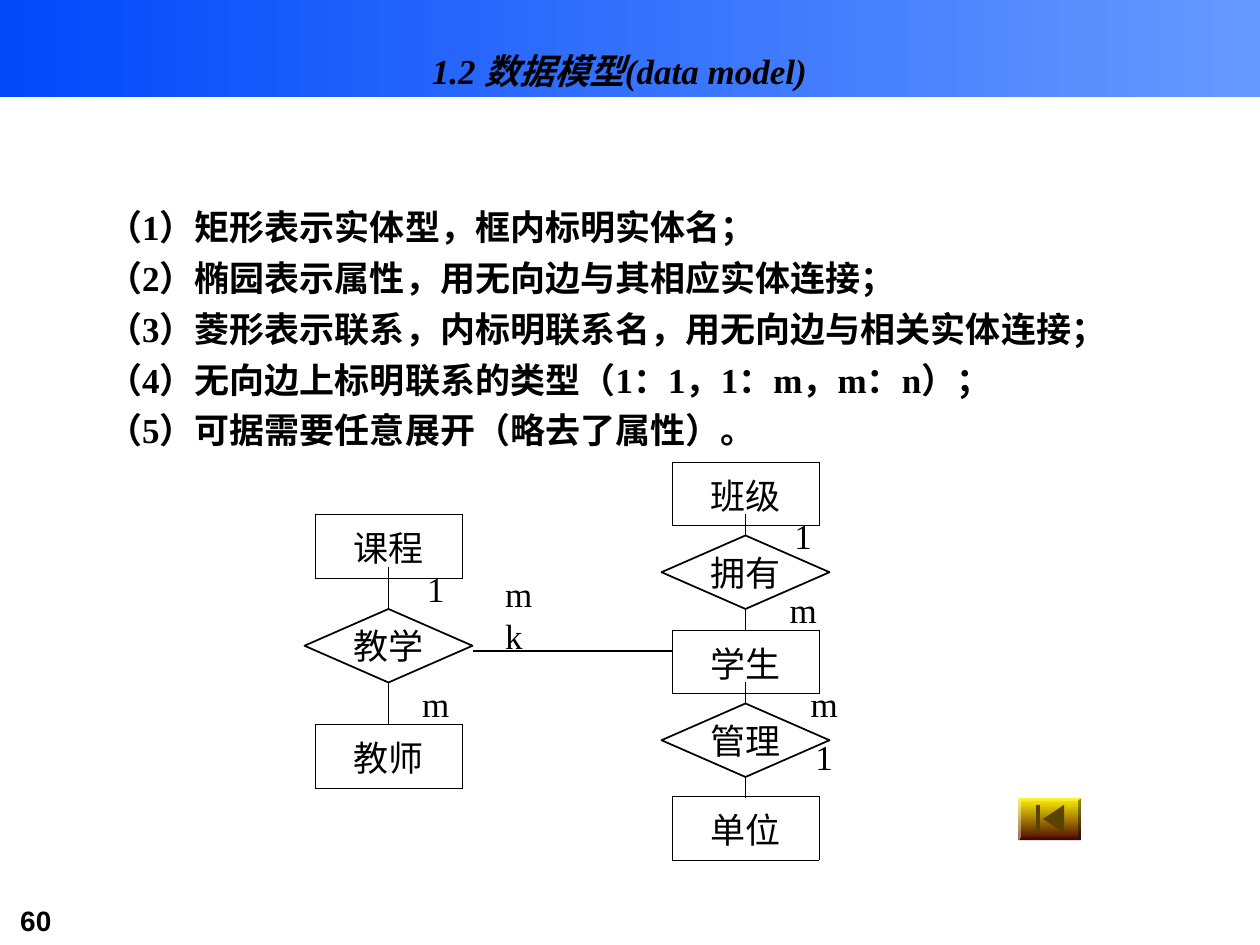
from lxml import etree
from pptx import Presentation
from pptx.dml.color import RGBColor
from pptx.enum import shapes as kinds, text as txt
from pptx.oxml import ns
from pptx.util import Pt

BLACK = RGBColor(0, 0, 0)
BLUE = RGBColor(0x02, 0x49, 0xFA)
SKY = RGBColor(0x66, 0x99, 0xFF)
YELLOW = RGBColor(0xFF, 0xF2, 0x00)
MAROON = RGBColor(0x4D, 0x08, 0x08)
OLIVE = RGBColor(0x5A, 0x43, 0x00)
SERIF = "Times New Roman"


def write(frame, words, align, size=20, face=SERIF, bold=False, italic=False):
    frame.text = words
    frame.word_wrap = True
    for para in frame.paragraphs:
        para.alignment = align
        for run in para.runs:
            font = run.font
            font.size, font.name = Pt(size), face
            font.bold, font.italic = bold, italic
            font.color.rgb = BLACK


def shade(shape, first, last, angle):
    """Give the shape a two-colour gradient without outline or shadow."""
    shape.shadow.inherit = False
    shape.line.fill.background()
    shape.fill.gradient()
    shape.fill.gradient_angle = angle
    for stop, color in zip(shape.fill.gradient_stops, (first, last)):
        stop.color.rgb = color


LEFT, MID = txt.PP_ALIGN.LEFT, txt.PP_ALIGN.CENTER
MIDDLE = txt.MSO_ANCHOR.MIDDLE
SHAPE = kinds.MSO_SHAPE

deck = Presentation()
deck.slide_width, deck.slide_height = Pt(720), Pt(540)
slide = deck.slides.add_slide(deck.slide_layouts[1])
items = slide.shapes

# Banner behind the title
banner = items.add_shape(SHAPE.RECTANGLE, 0, 0, Pt(720), Pt(55.5))
shade(banner, BLUE, SKY, 0)
banner.element.getparent().insert(2, banner.element)

title = items.title
title.left, title.top, title.width, title.height = Pt(48), Pt(18), Pt(612), Pt(45)
title.text_frame.auto_size = txt.MSO_AUTO_SIZE.NONE
title.text_frame.vertical_anchor = MIDDLE
write(title.text_frame, "1.2 数据模型(data model)", MID, bold=True, italic=True)

# Rules of the diagram
body = slide.placeholders[1]
body.left, body.top, body.width, body.height = Pt(54), Pt(114), Pt(612), Pt(366)
body.text_frame.auto_size = txt.MSO_AUTO_SIZE.NONE
rules = [
    "（1）矩形表示实体型，框内标明实体名；",
    "（2）椭园表示属性，用无向边与其相应实体连接；",
    "（3）菱形表示联系，内标明联系名，用无向边与相关实体连接；",
    "（4）无向边上标明联系的类型（1：1，1：m，m：n）；",
    "（5）可据需要任意展开（略去了属性）。",
]
write(body.text_frame, "\n".join(rules), txt.PP_ALIGN.JUSTIFY, bold=True)
for index, para in enumerate(body.text_frame.paragraphs):
    props = para._p.get_or_add_pPr()
    props.set("marL", str(Pt(27)))
    props.set("indent", str(-Pt(27)))
    etree.SubElement(props, ns.qn("a:buNone"))
    para.space_before = Pt(5 if index else 0)

# Entities
for name, x, y in [("课程", 180, 294), ("教师", 180, 414), ("班级", 384, 264),
                   ("学生", 384, 360), ("单位", 384, 455)]:
    table = items.add_table(1, 1, Pt(x), Pt(y), Pt(84), Pt(36.5)).table
    table.first_row = table.horz_banding = False
    cell = table.cell(0, 0)
    cell.vertical_anchor = MIDDLE
    write(cell.text_frame, name, MID)
    props = cell._tc.get_or_add_tcPr()
    for side in ("lnL", "lnR", "lnT", "lnB"):
        edge = etree.SubElement(props, ns.qn("a:" + side), w=str(Pt(0.45)))
        fill = etree.SubElement(edge, ns.qn("a:solidFill"))
        etree.SubElement(fill, ns.qn("a:srgbClr"), val=str(BLACK))
    cell.fill.background()

# Relationships, each with a stem above and below
lines = []
for name, x, y, stem in [("教学", 174, 348, 24), ("拥有", 378, 306, 12),
                         ("管理", 378, 402, 12)]:
    link = items.add_shape(SHAPE.FLOWCHART_DECISION, Pt(x), Pt(y), Pt(96), Pt(42))
    link.shadow.inherit = False
    link.fill.background()
    link.line.color.rgb, link.line.width = BLACK, Pt(1)
    write(link.text_frame, name, MID)
    link.text_frame.word_wrap = False
    link.text_frame.vertical_anchor = MIDDLE
    for site, start, end in [(0, y, y - stem), (2, y + 42, y + 42 + stem)]:
        line = items.add_connector(kinds.MSO_CONNECTOR.STRAIGHT, Pt(x + 48),
                                   Pt(start), Pt(x + 48), Pt(end))
        line.begin_connect(link, site)
        lines.append(line)

lines.append(items.add_connector(kinds.MSO_CONNECTOR.STRAIGHT,
                                 Pt(270), Pt(372), Pt(384), Pt(372)))
for line in lines:
    line.line.color.rgb, line.line.width = BLACK, Pt(1)
    etree.SubElement(line._element.spPr, ns.qn("a:effectLst"))

# Cardinalities
for mark, x, y in [("1", 222, 324), ("m", 222, 390), ("1", 432, 294),
                   ("m", 432, 336), ("m", 444, 390), ("1", 444, 420)]:
    label = items.add_textbox(Pt(x), Pt(y), Pt(54), Pt(24)).text_frame
    label.vertical_anchor = MIDDLE
    write(label, mark, MID)

pair = items.add_textbox(Pt(281.5), Pt(336), Pt(84), Pt(30)).text_frame
pair.vertical_anchor = MIDDLE
write(pair, "m\tk", LEFT)
tabs = etree.SubElement(pair.paragraphs[0]._p.get_or_add_pPr(), ns.qn("a:tabLst"))
etree.SubElement(tabs, ns.qn("a:tab"), pos=str(Pt(61)), algn="l")

# Back button
button = items.add_shape(SHAPE.BEVEL, Pt(582), Pt(456), Pt(36), Pt(24))
button.adjustments[0] = 0.07
shade(button, YELLOW, MAROON, 270)
for start, *rest in [[(596, 468), (608, 460), (608, 476)],
                     [(592, 460), (594, 460), (594, 476), (592, 476)]]:
    pen = items.build_freeform(*start, scale=Pt(1))
    pen.add_line_segments(rest, close=True)
    sign = pen.convert_to_shape()
    sign.shadow.inherit = False
    sign.fill.solid()
    sign.fill.fore_color.rgb = OLIVE
    sign.line.fill.background()

page = items.add_textbox(Pt(4.5), Pt(513), Pt(88), Pt(27)).text_frame
write(page, "60", LEFT, size=16, face="Arial", bold=True)

deck.save("out.pptx")
